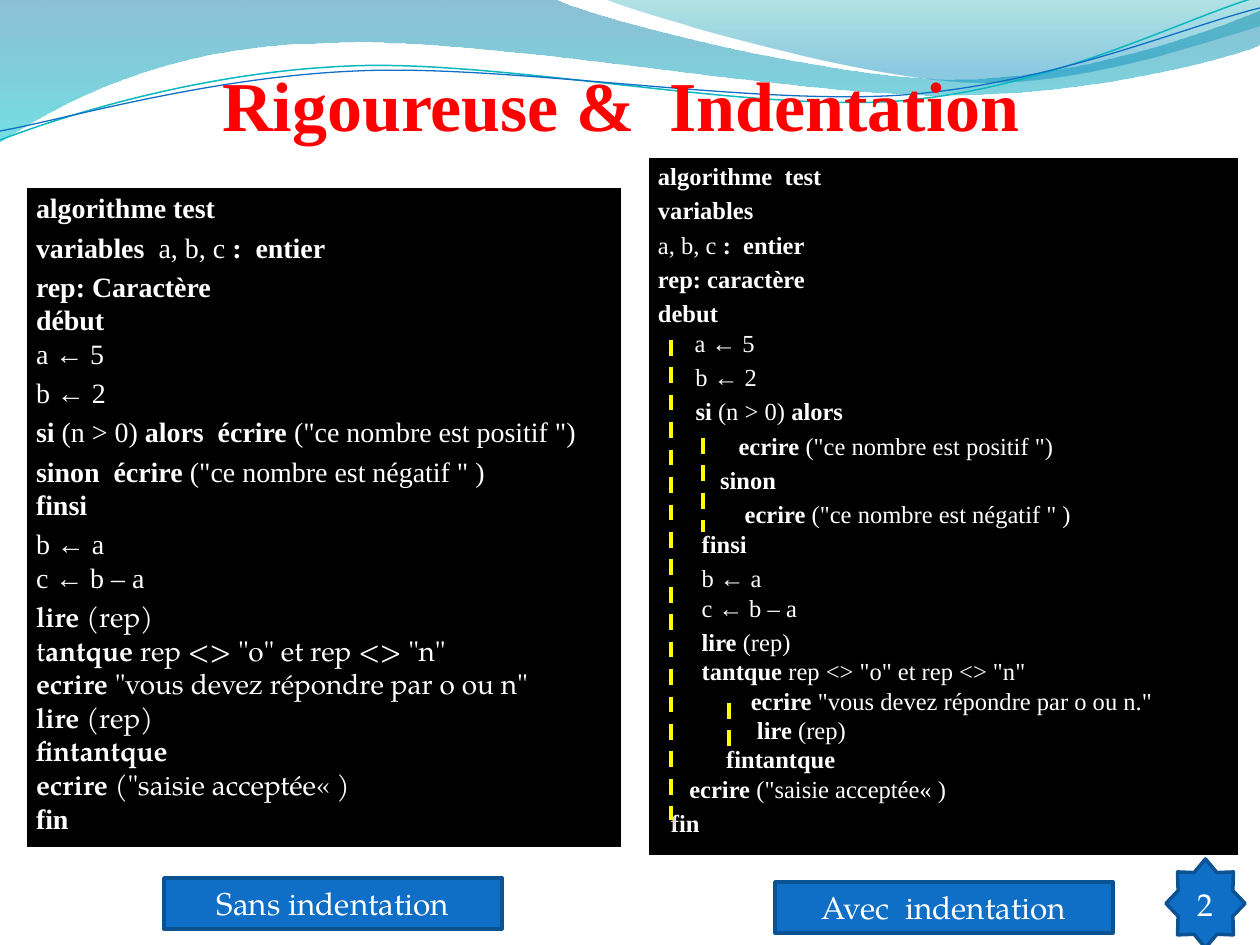
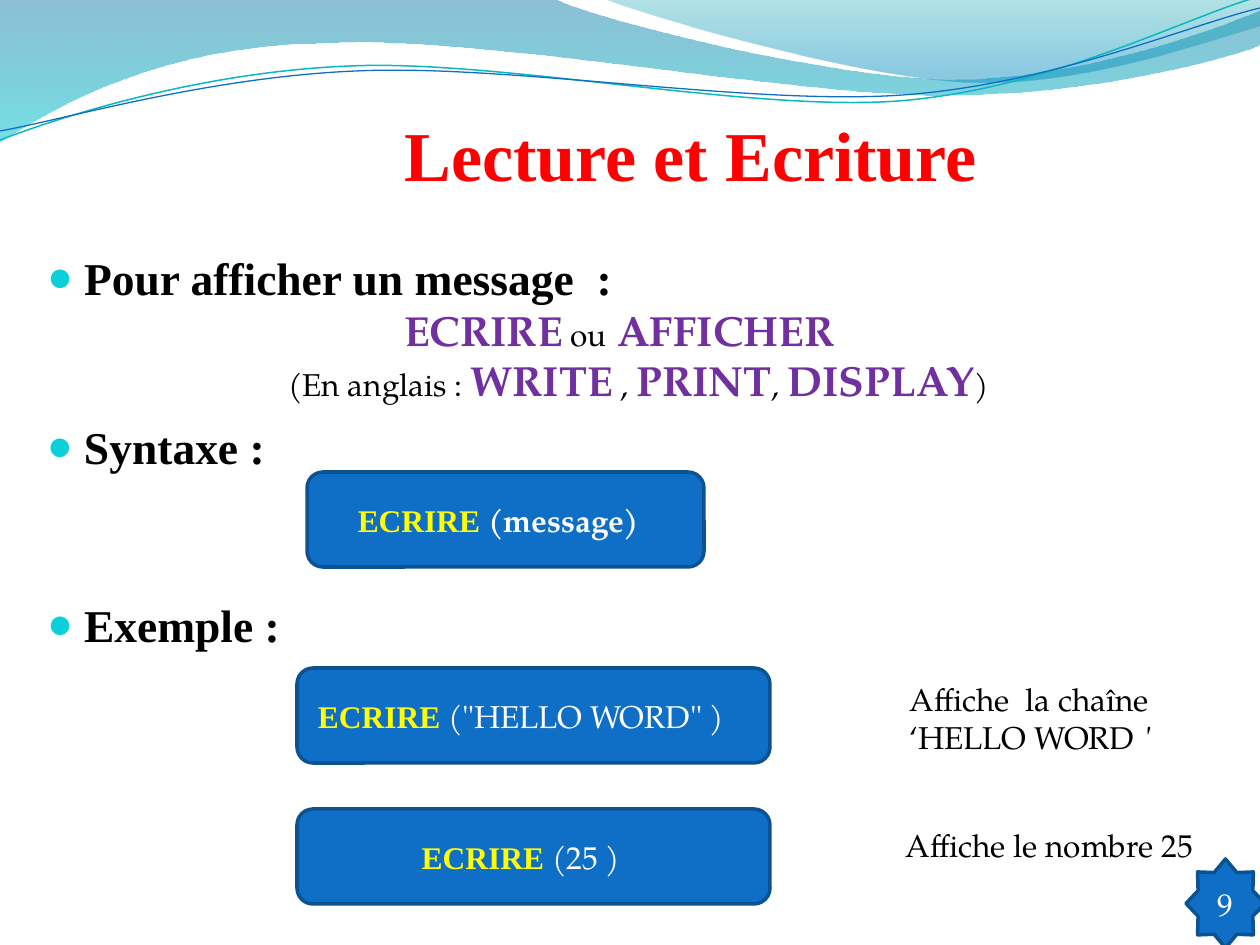
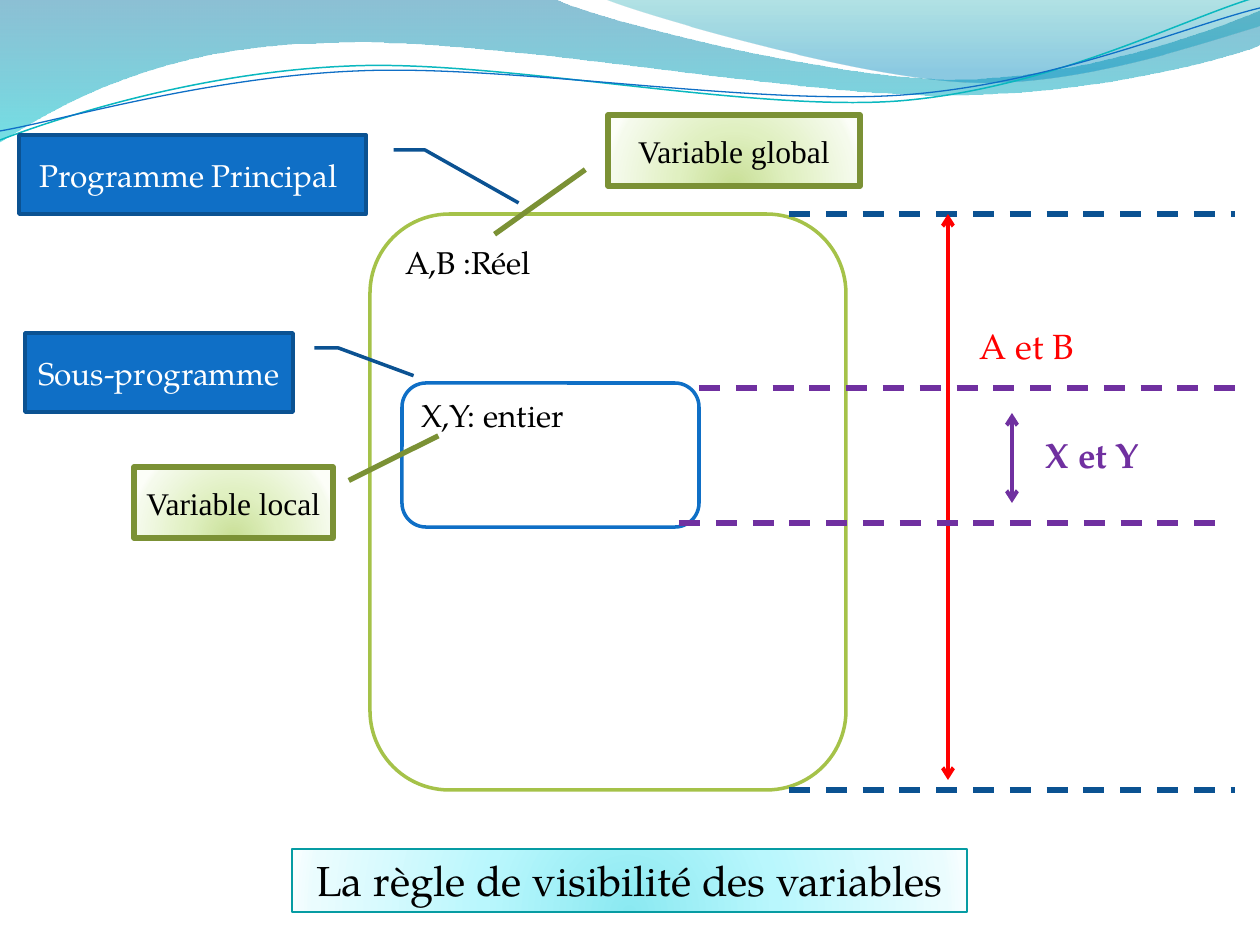
"""Build three slides of an algorithmics course."""
from copy import deepcopy

from lxml import etree
from pptx import Presentation
from pptx.dml.color import RGBColor
from pptx.enum.dml import MSO_LINE
from pptx.enum.shapes import MSO_CONNECTOR, MSO_SHAPE
from pptx.enum.text import MSO_ANCHOR, PP_ALIGN
from pptx.oxml.ns import qn
from pptx.util import Pt

PX = 914400 / 126
SERIF, BOOK = "Times New Roman", "TeX Gyre Pagella"
RECT, ROUND = MSO_SHAPE.RECTANGLE, MSO_SHAPE.ROUNDED_RECTANGLE
STAR = MSO_SHAPE.STAR_8_POINT
CALL_ONE, CALL_TWO = MSO_SHAPE.LINE_CALLOUT_1, MSO_SHAPE.LINE_CALLOUT_2
STRAIGHT, DASH = MSO_CONNECTOR.STRAIGHT, MSO_LINE.DASH
TOP, MID, LOW = MSO_ANCHOR.TOP, MSO_ANCHOR.MIDDLE, MSO_ANCHOR.BOTTOM
LEFT, CENTER = PP_ALIGN.LEFT, PP_ALIGN.CENTER

BLACK = RGBColor(0, 0, 0)
WHITE = RGBColor(255, 255, 255)
RED = RGBColor(255, 0, 0)
YELLOW = RGBColor(255, 255, 0)
PURPLE = RGBColor(0x70, 0x30, 0xA0)
BLUE = RGBColor(0x0F, 0x6F, 0xC6)
NAVY = RGBColor(0x0B, 0x52, 0x92)
CYAN = RGBColor(0x0B, 0xD0, 0xD9)
TEAL = RGBColor(0x0A, 0xB8, 0xBF)
LIME = RGBColor(0xA5, 0xC2, 0x49)
OLIVE = RGBColor(0x7B, 0x91, 0x35)
LAGOON = RGBColor(0x06, 0x9C, 0xA3)

GREENS = [(0, "C9DF97", 100), (43, "E0F0C1", 100), (93, "F5FAEC", 100), (100, "FCFEF8", 100)]
AQUAS = [(0, "8BE9F1", 100), (43, "B9F7FD", 100), (93, "EAFCFE", 100), (100, "F8FEFF", 100)]
OCEAN = [(0, "0074A1", 45), (100, "00C6CF", 55)]
SKY = [(0, "00A1A9", 30), (80, "008BBF", 45)]

WAVES = [
    (OCEAN, [[(0, 0)], [(554, -1)], [(600, 21), (837, 79), (955, 79)],
             [(1075, 79), (1207, 33), (1260, 11)], [(1261, 45)],
             [(1239, 55), (1096, 96), (940, 95)], [(784, 95), (481, 35), (324, 43)],
             [(163, 45), (58, 105), (-1, 142)]]),
    (SKY, [[(604, -1)], [(641, 15), (859, 78), (969, 82)],
           [(1079, 87), (1211, 40), (1260, 26)], [(1260, 0)]]),
]
STRANDS = [
    (TEAL, 0.85, [[(0, 140)], [(60, 117), (199, 72), (349, 66)],
                  [(498, 59), (747, 112), (898, 101)], [(1050, 89), (1182, 19), (1257, -3)]]),
    (BLUE, 0.75, [[(0, 131)], [(59, 121), (207, 77), (357, 71)],
                  [(508, 64), (752, 106), (903, 95)], [(1053, 84), (1186, 26), (1260, 8)]]),
]

FLAT_CODE = [
    "*algorithme test*",
    "*variables*  a, b, c *:  entier*",
    "*rep: Caractère\ndébut\n*a ← 5",
    "b ← 2",
    "*si* (n > 0) *alors  écrire* (\"ce nombre est positif \")",
    "*sinon  écrire* (\"ce nombre est négatif \" )\n*finsi*",
    "b ← a\nc ← b – a",
]
FLAT_LOOP = (
    "*lire* (rep)\nt*antque* rep <> \"o\" et rep <> \"n\"\n"
    "*ecrire* \"vous devez répondre par o ou n\"\n*lire* (rep)\n"
    "*fintantque\necrire* (\"saisie acceptée« )\n"
)
DEEP_HEAD = [
    "*algorithme  test*",
    "*variables*",
    "a, b, c *:  entier*",
    "*rep: caractère*",
    "*debut*\n      a ← 5",
]
DEEP_BODY = [
    "    b ← 2",
    "    *si* (n > 0) *alors*",
    "           *ecrire* (\"ce nombre est positif \")",
    "        *sinon*",
    "            *ecrire* (\"ce nombre est négatif \" )\n     *finsi*",
    "     b ← a\n     c ← b – a",
    "     *lire* (rep)\n     *tantque* rep <> \"o\" et rep <> \"n\"\n"
    "             *ecrire* \"vous devez répondre par o ou n.\"\n"
    "              *lire* (rep)\n         *fintantque\n"
    "   ecrire* (\"saisie acceptée« )",
    "*fin*",
]


def px(*sizes):
    """Turn pixels into EMU."""
    return [round(size * PX) for size in sizes]


def node(top, tag, **attrs):
    """Add a drawing element below another."""
    return etree.SubElement(top, qn("a:" + tag), {k: str(v) for k, v in attrs.items()})


def tint(top, color, alpha):
    """Add a colour with an opacity in percent."""
    node(node(top, "srgbClr", val=color), "alpha", val=alpha * 1000)


def blend(shape, stops, radial):
    """Fill a shape with a radial or a downward gradient."""
    shape.fill.gradient()
    grad = shape._element.spPr.find(qn("a:gradFill"))
    for child in list(grad):
        grad.remove(child)
    row = node(grad, "gsLst")
    for place, color, alpha in stops:
        tint(node(row, "gs", pos=place * 1000), color, alpha)
    if radial:
        way = node(grad, "path", path="circle")
        node(way, "fillToRect", l=50000, t=130000, r=50000, b=-30000)
    else:
        node(grad, "lin", ang=5400000, scaled=0)


def say(frame, text, size=18, font=BOOK, color=BLACK, bold=False, italic=False,
        align=LEFT, left=0, before=0, bullet=False):
    """Add a paragraph; text is a string or (text, format) pieces, * toggles bold."""
    para = frame.paragraphs[-1]
    if para.runs:
        para = frame.add_paragraph()
        para.space_before = Pt(before)
    para.alignment = align
    props = para._p.get_or_add_pPr()
    if left:
        props.set("marL", str(px(left)[0]))
    if bullet:
        props.set("indent", str(px(-left)[0]))
        node(node(props, "buClr"), "srgbClr", val=CYAN)
        node(props, "buSzPct", val=95000)
        node(props, "buFont", typeface=SERIF)
        node(props, "buChar", char="●")
    base = dict(size=size, font=font, color=color, bold=bold, italic=italic)
    for piece, extra in [(text, {})] if isinstance(text, str) else text:
        look = {**base, **extra}
        for turn, part in enumerate(piece.split("*")):
            for row, line in enumerate(part.split("\n")):
                if row:
                    para.add_line_break()
                    para._p[-1].append(deepcopy(para.runs[-1]._r.rPr))
                if line:
                    run = para.add_run()
                    run.text = line
                    run.font.size = Pt(look["size"])
                    run.font.name = look["font"]
                    run.font.color.rgb = look["color"]
                    run.font.bold = look["bold"] != bool(turn % 2)
                    run.font.italic = look["italic"]


def setup(shape, anchor, ins):
    """Prepare the text frame of a shape and return it."""
    frame = shape.text_frame
    frame.word_wrap = True
    frame.vertical_anchor = anchor
    (frame.margin_left, frame.margin_top,
     frame.margin_right, frame.margin_bottom) = px(*ins)
    return frame


def note(slide, at, anchor=TOP, ins=(12, 6, 12, 6)):
    """Add a text box and return its frame."""
    return setup(slide.shapes.add_textbox(*px(*at)), anchor, ins)


def box(slide, kind, at, fill=BLUE, line=NAVY, width=2, anchor=MID,
        right=12, adjust=(), flip=False):
    """Add a preset shape and return its text frame."""
    shape = slide.shapes.add_shape(kind, *px(*at))
    if isinstance(fill, list):
        blend(shape, fill, True)
    else:
        shape.fill.solid()
        shape.fill.fore_color.rgb = fill
    shape.line.color.rgb = line
    shape.line.width = Pt(width)
    shape.shadow.inherit = False
    for spot, value in enumerate(adjust):
        shape.adjustments[spot] = value
    if flip:
        shape._element.spPr.xfrm.set("flipH", "1")
    return setup(shape, anchor, (12, 6, right, 6))


def rule(slide, start, end, color, width, dash=True, glow=False):
    """Add a dashed line, or a solid one with two arrowheads."""
    link = slide.shapes.add_connector(STRAIGHT, *px(*start, *end))
    link.line.color.rgb = color
    link.line.width = Pt(width)
    props = link._element.spPr
    if dash:
        link.line.dash_style = DASH
    else:
        for tag in ("headEnd", "tailEnd"):
            node(props.find(qn("a:ln")), tag, type="arrow")
    effects = node(props, "effectLst")
    if glow:
        cast = node(effects, "outerShdw", blurRad=Pt(4.5), dist=Pt(3),
                    dir=5400000, rotWithShape=0)
        tint(cast, BLACK, 48)


def trace(slide, legs, close):
    """Draw an outline of straight legs and cubic curves."""
    first, *rest = [px(*spot) for leg in legs for spot in leg]
    pen = slide.shapes.build_freeform(*first)
    pen.add_line_segments(rest, close=close)
    shape = pen.convert_to_shape()
    shape.shadow.inherit = False
    steps = iter(list(shape._element.iter(qn("a:lnTo"))))
    for leg in legs[1:]:
        group = [next(steps) for spot in leg]
        if len(group) == 3:
            curve = node(group[0].getparent(), "cubicBezTo")
            group[0].addprevious(curve)
            for step in group:
                curve.append(step[0])
                step.getparent().remove(step)
    return shape


def page(deck):
    """Add a blank slide with the waves on top."""
    slide = deck.slides.add_slide(deck.slide_layouts[6])
    for stops, legs in WAVES:
        wave = trace(slide, legs, True)
        blend(wave, stops, False)
        wave.line.fill.background()
    for color, width, legs in STRANDS:
        strand = trace(slide, legs, False)
        strand.fill.background()
        strand.line.color.rgb = color
        strand.line.width = Pt(width)
    return slide


def title(slide, at, text, align):
    """Add the red title."""
    say(note(slide, at, LOW, (0, 6, 0, 0)), text, size=40, font=SERIF,
        color=RED, bold=True, align=align)


def badge(slide, left, text):
    """Add the page number star."""
    say(box(slide, STAR, (left, 859, 79, 89)), text, color=WHITE, align=CENTER)


def panel(slide, at):
    """Add a black code panel and return its frame."""
    return box(slide, RECT, at, BLACK, WHITE, 3, TOP)


def topic(frame, text):
    """Add a bulleted heading."""
    say(frame, text, size=26, font=SERIF, bold=True, left=37, bullet=True)


def indents(deck):
    """Build the slide on indentation."""
    slide = page(deck)
    title(slide, (54, 46, 1134, 100), "Rigoureuse &  Indentation", CENTER)
    flat = panel(slide, (24, 185, 600, 665))
    white = dict(font=SERIF, color=WHITE)
    for line in FLAT_CODE:
        say(flat, line, size=16, before=3.2, **white)
    say(flat, [(FLAT_LOOP, {"font": BOOK}), ("*fin*", {})], size=16, before=3.2, **white)
    deep = panel(slide, (646, 155, 595, 703))
    for left, lines in ((0, DEEP_HEAD), (13, DEEP_BODY)):
        for line in lines:
            say(deep, line, size=14, before=2.8, left=left, **white)
    for left, top, end in ((671, 340, 820), (703, 438, 532)):
        rule(slide, (left, top), (left, end), YELLOW, 2.25, glow=True)
    for left, top, text in ((164, 878, "Sans indentation"), (775, 882, "Avec  indentation")):
        say(box(slide, RECT, (left, top, 338, 51), anchor=TOP), text,
            color=WHITE, align=CENTER)
    rule(slide, (729, 703), (729, 751), YELLOW, 2.25, glow=True)
    badge(slide, 1166, "2")


def output(deck):
    """Build the slide on reading and writing."""
    slide = page(deck)
    title(slide, (405, 105, 591, 91), "Lecture et Ecriture", LEFT)
    lead = note(slide, (35, 244, 1201, 170), ins=(12, 6, 44, 6))
    topic(lead, "Pour afficher un message  :")
    big = dict(size=24, color=PURPLE, bold=True)
    say(lead, [("ECRIRE", big), (" ou", {}), (" AFFICHER", big)], align=CENTER)
    say(lead, [("(En anglais : ", {}), ("WRITE", big), (" , ", {}), ("PRINT", big),
               (", ", {}), ("DISPLAY", big), (")", {})], align=CENTER, left=38)
    topic(note(slide, (35, 413, 1134, 236)), "Syntaxe :")
    word = dict(font=SERIF, color=YELLOW, bold=True)
    say(box(slide, ROUND, (307, 472, 397, 95), right=26),
        [("ECRIRE", word), (" (message)", {})], color=WHITE, bold=True, align=CENTER)
    topic(note(slide, (35, 591, 1142, 134)), "Exemple :")
    for top, text in ((668, "(\"HELLO WORD\" )"), (809, "(25 )")):
        say(box(slide, ROUND, (297, top, 473, 95), right=37),
            [("ECRIRE ", word), (text, {})], color=WHITE, align=CENTER)
    shown = note(slide, (826, 674, 407, 89))
    say(shown, "Affiche  la chaîne", align=CENTER)
    say(shown, [("‘HELLO WORD ", {}), ("'", {"italic": True})], align=CENTER)
    say(note(slide, (846, 820, 407, 51)), "Affiche le nombre 25", align=CENTER)
    badge(slide, 1186, "9")


def scope(deck):
    """Build the slide on the scope of variables."""
    slide = page(deck)
    for at, line, text in (((370, 214, 476, 576), LIME, "A,B :Réel"),
                           ((402, 383, 297, 144), BLUE, "X,Y: entier")):
        say(box(slide, ROUND, at, WHITE, line, anchor=TOP), text)
    for at, right, bend, text in (
            ((19, 135, 347, 79), 20, (0.86, -0.44), "Programme Principal"),
            ((25, 333, 268, 79), 12, (0.54, -0.45), "Sous-programme")):
        say(box(slide, CALL_TWO, at, right=right, flip=True,
                adjust=(0.19, -0.08, 0.19, -0.17, *bend)),
            text, color=WHITE, align=CENTER)
    for top in (214, 790):
        rule(slide, (789, top), (1235, top), NAVY, 3)
    rule(slide, (948, 214), (948, 780), RED, 2.25, dash=False)
    say(note(slide, (968, 318, 129, 55)), "A et B", size=20, color=RED)
    for left, end, top in ((699, 1235, 388), (679, 1216, 523)):
        rule(slide, (left, top), (end, top), PURPLE, 3)
    rule(slide, (1012, 413), (1012, 503), PURPLE, 2.25, dash=False)
    say(note(slide, (1034, 427, 129, 55)), "X et Y", size=20, color=PURPLE, bold=True)
    for at, flip, adjust, text in (
            ((134, 467, 199, 71), True, (0.19, -0.08, -0.44, -0.53), "Variable local"),
            ((608, 115, 252, 71), False, (0.77, -0.09, 1.68, -0.45), "Variable global")):
        say(box(slide, CALL_ONE, at, GREENS, OLIVE, 3, adjust=adjust, flip=flip),
            text, font=SERIF, align=CENTER)
    say(box(slide, RECT, (292, 849, 675, 63), AQUAS, LAGOON, 0.75, TOP),
        "La règle de visibilité des variables", size=24, align=CENTER)


def main():
    """Build and save the deck."""
    deck = Presentation()
    deck.slide_width, deck.slide_height = px(1260, 945)
    indents(deck)
    output(deck)
    scope(deck)
    deck.save("out.pptx")


if __name__ == "__main__":
    main()
